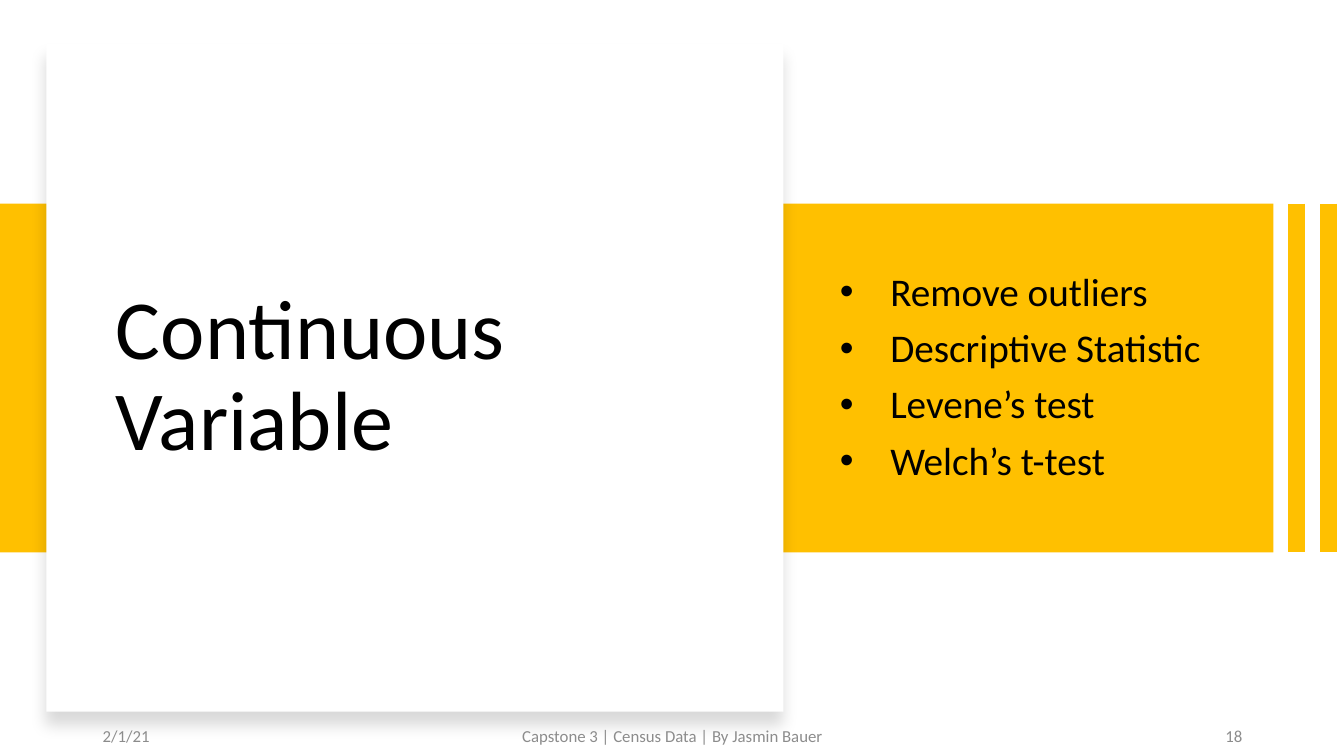
import pptx
import pptx.util
import pptx.oxml
import pptx.oxml.ns
import pptx.dml.color
import pptx.enum.shapes
import pptx.enum.text
from lxml import etree

Inches, Pt = pptx.util.Inches, pptx.util.Pt
RGBColor = pptx.dml.color.RGBColor
ALIGN = pptx.enum.text.PP_ALIGN
qn = pptx.oxml.ns.qn

# Content
HEADING = "Continuous Variable"
STEPS = ["Remove outliers", "Descriptive Statistic", "Levene’s test", "Welch’s t-test"]
FOOTER = [  # text, left, width, alignment
    ("2/1/21", 0.92, 3, ALIGN.LEFT),
    ("Capstone 3 | Census Data | By Jasmin Bauer", 4.42, 4.5, ALIGN.CENTER),
    ("18", 9.42, 3, ALIGN.RIGHT),
]

# Look
FONT = "Calibri"
GOLD = RGBColor(0xFF, 0xC0, 0x00)
WHITE = RGBColor(0xFF, 0xFF, 0xFF)
BLACK = RGBColor(0x00, 0x00, 0x00)
GREY = RGBColor(0x8C, 0x8C, 0x8C)
BAND_TOP, BAND_HEIGHT, BAND_WIDTH = 2.02, 3.46, 12.63
STRIPES_X = [12.86, 13.18]
CARD = (0.46, 0.43, 7.31, 6.63)
CARD_SHADOW = (
    '<a:outerShdw xmlns:a="http://schemas.openxmlformats.org/drawingml/2006/main" '
    'blurRad="139700" dist="127000" dir="5400000" algn="t" rotWithShape="0">'
    '<a:srgbClr val="000000"><a:alpha val="15000"/></a:srgbClr></a:outerShdw>'
)


def place(shape, left, top, width, height):
    shape.left, shape.top = Inches(left), Inches(top)
    shape.width, shape.height = Inches(width), Inches(height)


def add_block(slide, box, color):
    block = slide.shapes.add_shape(
        pptx.enum.shapes.MSO_SHAPE.RECTANGLE, *map(Inches, box))
    block.shadow.inherit = False
    block.fill.solid()
    block.fill.fore_color.rgb = color
    block.line.fill.background()
    return block


def write(shape, *lines, size, color=BLACK, align=ALIGN.LEFT, spacing=1.0,
          before=0, after=0, bullet=None):
    frame = shape.text_frame
    frame.word_wrap = True
    frame.auto_size = pptx.enum.text.MSO_AUTO_SIZE.NONE
    frame.vertical_anchor = pptx.enum.text.MSO_ANCHOR.MIDDLE
    for index, line in enumerate(lines):
        paragraph = frame.add_paragraph() if index else frame.paragraphs[0]
        paragraph.alignment = align
        paragraph.line_spacing = spacing
        paragraph.space_before = Pt(before if index else 0)
        paragraph.space_after = Pt(after)
        if bullet:
            properties = paragraph._p.get_or_add_pPr()
            properties.set("marL", str(Inches(0.5)))
            properties.set("indent", str(-Inches(0.5)))
            etree.SubElement(properties, qn("a:buFont")).set("typeface", "Arial")
            etree.SubElement(properties, qn("a:buChar")).set("char", bullet)
        run = paragraph.add_run()
        run.text = line
        run.font.name = FONT
        run.font.size = Pt(size)
        run.font.color.rgb = color


def main():
    deck = pptx.Presentation()
    deck.slide_width, deck.slide_height = Inches(13.33), Inches(7.5)
    slide = deck.slides.add_slide(deck.slide_layouts[1])
    heading, steps = slide.placeholders

    # Gold band with two stripes at its right
    add_block(slide, (0, BAND_TOP, BAND_WIDTH, BAND_HEIGHT), GOLD)
    for x in STRIPES_X:
        stripe = slide.shapes.add_connector(
            pptx.enum.shapes.MSO_CONNECTOR.STRAIGHT,
            Inches(x), Inches(BAND_TOP), Inches(x), Inches(BAND_TOP + BAND_HEIGHT))
        stripe.line.color.rgb = GOLD
        stripe.line.width = Pt(12)
        etree.SubElement(stripe._element.spPr, qn("a:effectLst"))

    # White card with a soft shadow
    card = add_block(slide, CARD, WHITE)
    effects = card._element.spPr.find(qn("a:effectLst"))
    effects.append(pptx.oxml.parse_xml(CARD_SHADOW))

    # Title and list, brought in front of the card
    for placeholder in (heading, steps):
        slide.shapes._spTree.append(placeholder._element)
    place(heading, 1.05, 1.06, 6.12, 5.38)
    write(heading, HEADING, size=60, spacing=0.9)
    place(steps, 8.23, 2.59, 3.96, 2.32)
    write(steps, *STEPS, size=28, spacing=0.9, before=10, bullet="•")

    # Footer
    for text, left, width, align in FOOTER:
        note = slide.shapes.add_textbox(
            Inches(left), Inches(7.1), Inches(width), Inches(0.4))
        write(note, text, size=12, color=GREY, align=align, after=6)

    deck.save("out.pptx")


if __name__ == "__main__":
    main()
